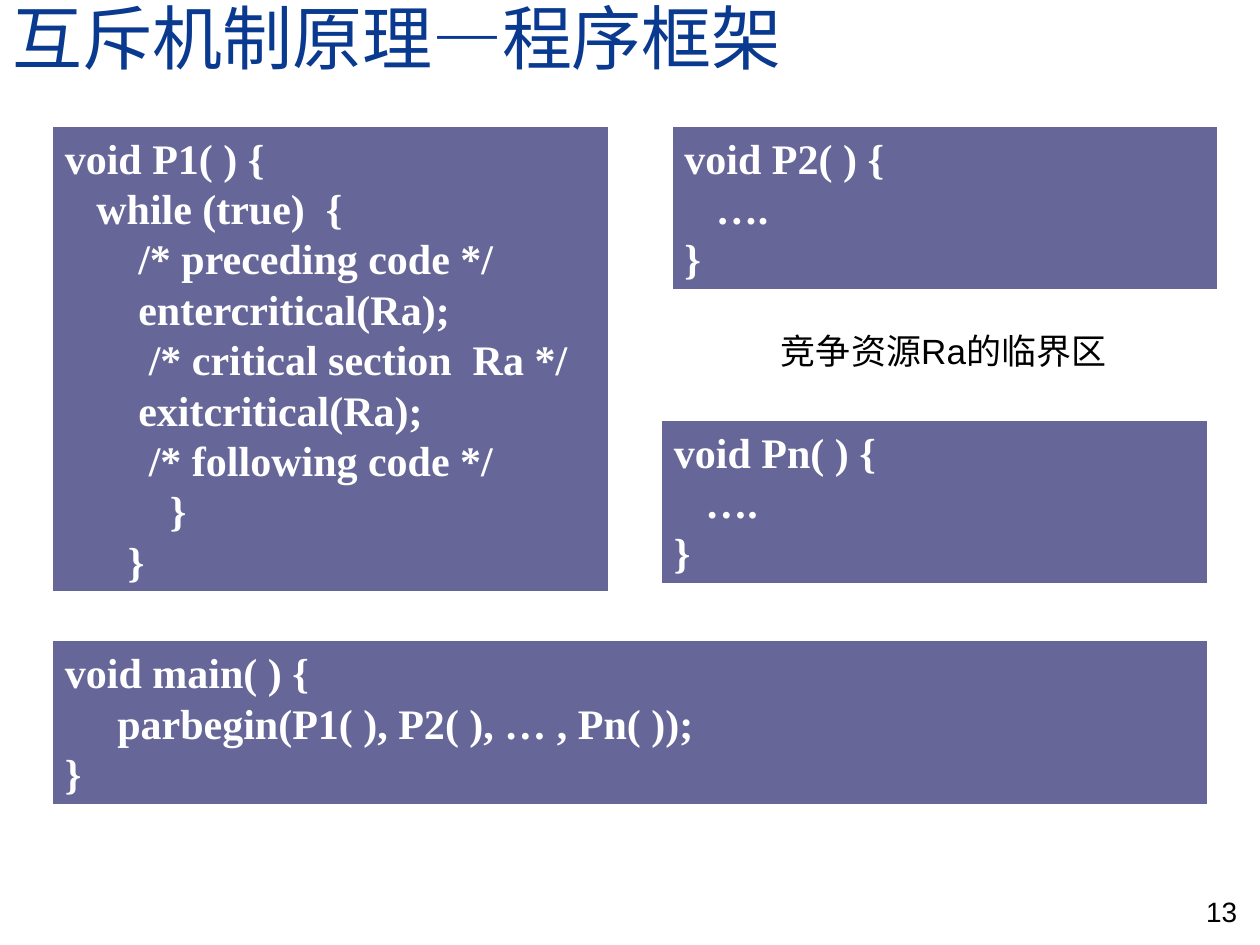
"""Build the slide on the program framework for mutual exclusion."""
import pptx
import pptx.dml.color
import pptx.enum.shapes
import pptx.enum.text
import pptx.util

Pt = pptx.util.Pt
RGB = pptx.dml.color.RGBColor.from_string
ANCHOR = pptx.enum.text.MSO_ANCHOR
ALIGN = pptx.enum.text.PP_ALIGN
COLORS = {"title": "0A3A90", "box": "666699", "code": "FFFFFF", "text": "000000"}


def style(p, font, size, color, bold=False, align=ALIGN.LEFT):
    p.alignment = align
    p.font.name = font
    p.font.size = Pt(size)
    p.font.bold = bold
    p.font.color.rgb = RGB(COLORS[color])


prs = pptx.Presentation()
prs.slide_width, prs.slide_height = Pt(720), Pt(540)
s = prs.slides.add_slide(prs.slide_layouts[5])

title = s.shapes.title
title.left, title.top, title.width, title.height = Pt(0), Pt(0), Pt(636), Pt(48)
tf = title.text_frame
tf.text = "互斥机制原理—程序框架"
tf.auto_size = pptx.enum.text.MSO_AUTO_SIZE.NONE
tf.vertical_anchor = ANCHOR.BOTTOM
tf.paragraphs[0].line_spacing = 0.8
style(tf.paragraphs[0], "Times New Roman", 40, "title")

p1_lines = [
    (0, "void P1( ) {"),
    (0, "   while (true)  {"),
    (1, " /* preceding code */"),
    (1, " entercritical(Ra);"),
    (1, "  /* critical section  Ra */"),
    (1, " exitcritical(Ra);"),
    (1, "  /* following code */"),
    (1, "    }"),
    (1, "}"),
]
main_lines = [
    (0, "void main( ) {"),
    (0, "     parbegin(P1( ), P2( ), … , Pn( ));"),
    (0, "}"),
]
p2_lines, pn_lines = (
    [(0, f"void {name}( ) {{"), (0, "   …."), (0, "}")] for name in ("P2", "Pn")
)
code_boxes = [
    (30, 72, 318, p1_lines),
    (384, 72, 312, p2_lines),
    (30, 366, 660, main_lines),
    (378, 240, 312, pn_lines),
]
for left, top, width, lines in code_boxes:
    height = 28.8 * len(lines) + 7.2
    sp = s.shapes.add_shape(pptx.enum.shapes.MSO_SHAPE.RECTANGLE,
                            Pt(left), Pt(top), Pt(width), Pt(height))
    sp.shadow.inherit = False
    sp.fill.solid()
    sp.fill.fore_color.rgb = RGB(COLORS["box"])
    sp.line.color.rgb = RGB(COLORS["code"])
    sp.line.width = Pt(0.75)
    tf = sp.text_frame
    tf.word_wrap = True
    tf.vertical_anchor = ANCHOR.TOP
    for i, (level, line) in enumerate(lines):
        p = tf.paragraphs[0] if i == 0 else tf.add_paragraph()
        p.text = line
        p.level = level
        p.line_spacing = Pt(28.8)
        p._p.get_or_add_pPr().set("marL", str(Pt(36 * level)))
        style(p, "Times New Roman", 24, "code", bold=True)

labels = [
    (439.2, 185, 204.5, 55.4, "竞争资源Ra的临界区", 20, ALIGN.LEFT, ANCHOR.TOP),
    (600, 498, 114, 36, "13", 16, ALIGN.RIGHT, ANCHOR.BOTTOM),
]
for left, top, width, height, text, size, align, anchor in labels:
    tf = s.shapes.add_textbox(Pt(left), Pt(top), Pt(width), Pt(height)).text_frame
    tf.word_wrap = True
    tf.vertical_anchor = anchor
    tf.text = text
    style(tf.paragraphs[0], "Arial", size, "text", align=align)

prs.save("out.pptx")
